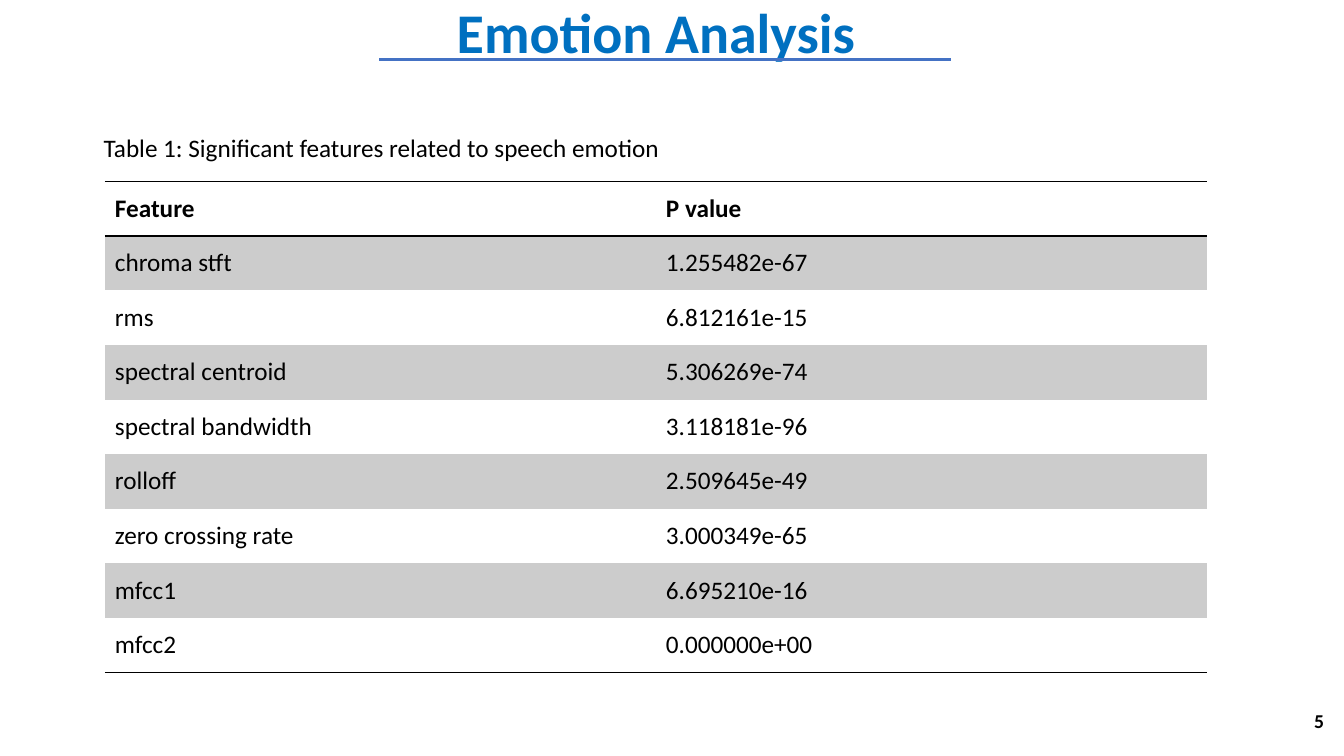
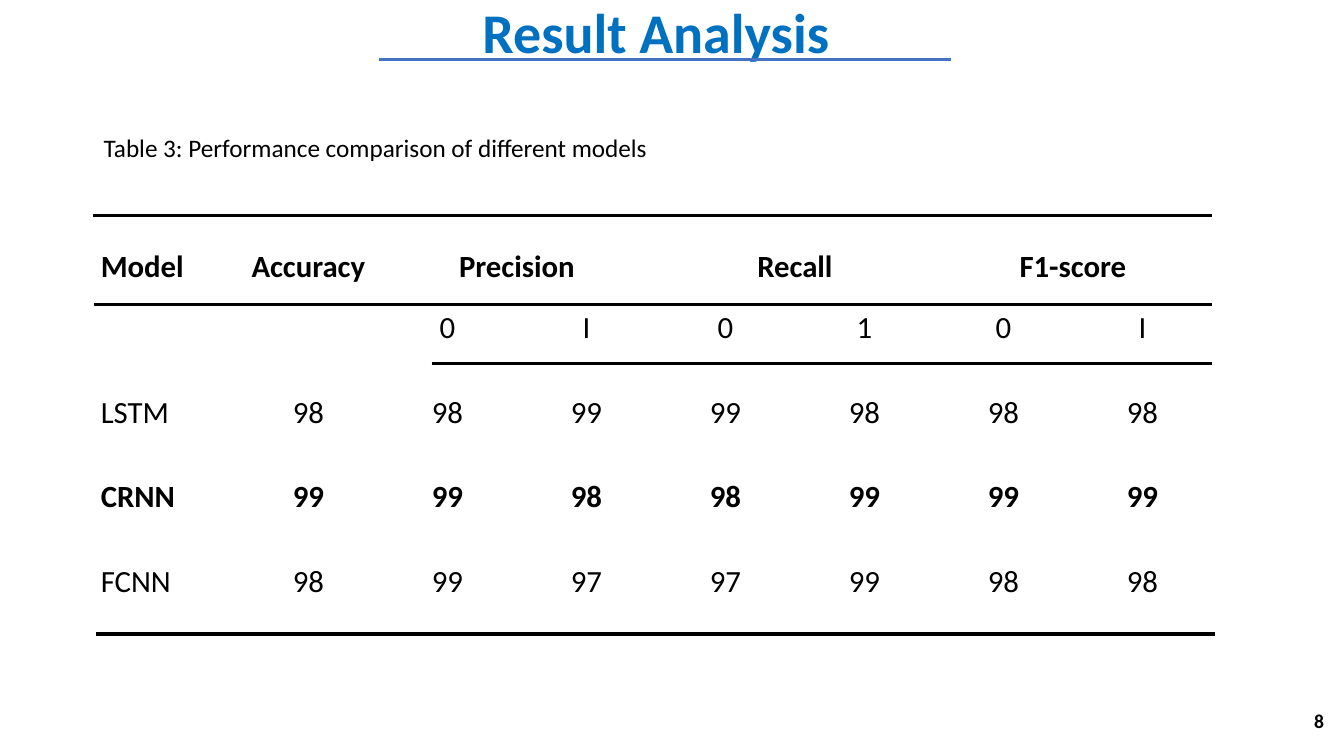
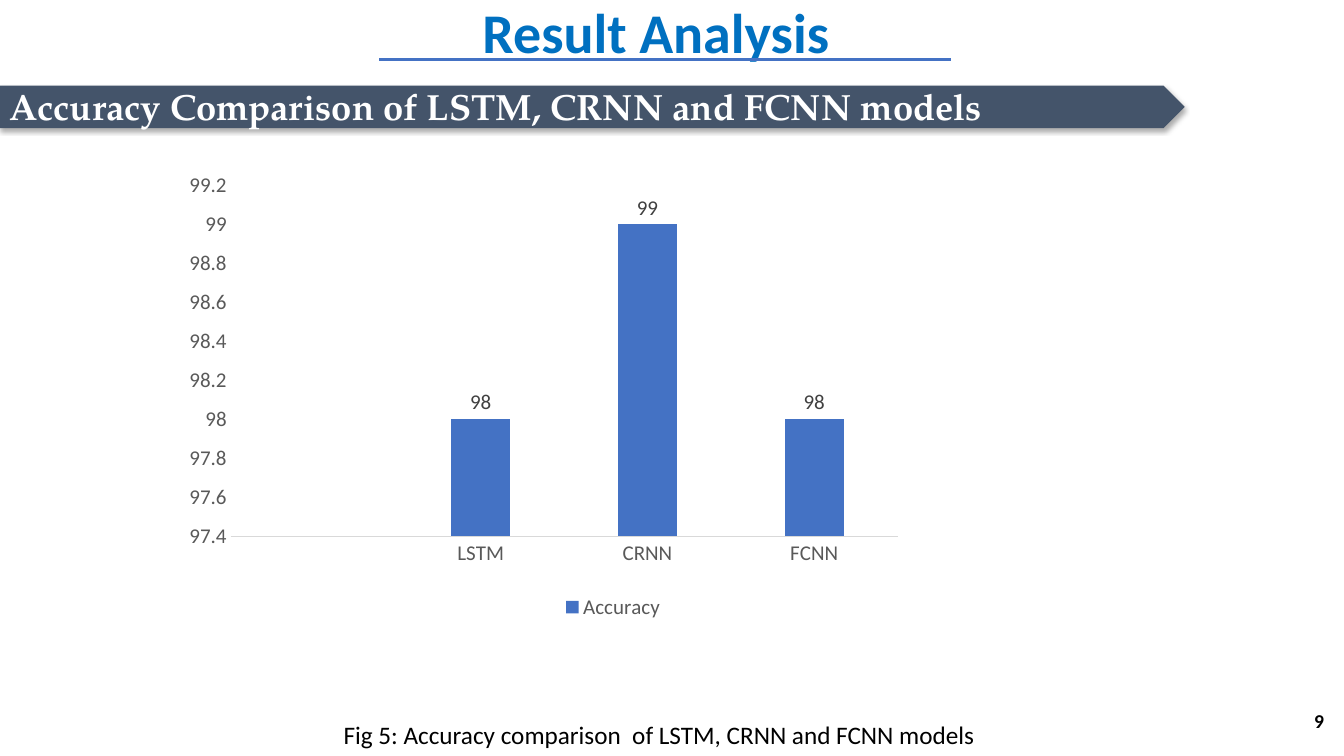
from dataclasses import dataclass

from lxml.etree import SubElement
from pptx import Presentation
from pptx.chart.data import CategoryChartData
from pptx.dml.color import RGBColor as RGB
from pptx.enum.chart import XL_CHART_TYPE as ChartType, XL_LABEL_POSITION as LabelPos
from pptx.enum.chart import XL_LEGEND_POSITION as LegendPos, XL_TICK_MARK as Tick
from pptx.enum.shapes import MSO_CONNECTOR as Connector, MSO_SHAPE as Shape
from pptx.enum.text import MSO_ANCHOR as Anchor, PP_ALIGN as Align
from pptx.oxml import parse_xml
from pptx.oxml.ns import nsdecls, qn
from pptx.util import Inches, Pt


@dataclass(frozen=True)
class Theme:
    font: str = "Calibri"
    banner_font: str = "TeX Gyre Pagella"
    black: RGB = RGB(0, 0, 0)
    white: RGB = RGB(255, 255, 255)
    title: RGB = RGB.from_string("0070C0")
    accent: RGB = RGB.from_string("4472C4")
    banner: RGB = RGB.from_string("44546A")
    stripe: RGB = RGB.from_string("CCCCCC")
    axis_line: RGB = RGB.from_string("D9D9D9")
    axis_text: RGB = RGB.from_string("595959")
    label_text: RGB = RGB.from_string("404040")
    title_size: int = 40
    banner_size: int = 26
    score_size: int = 22
    body_size: int = 18
    chart_size: int = 15
    page_size: int = 14


theme = Theme()


def write(frame, text, size=theme.body_size, color=theme.black, bold=False,
          align=Align.LEFT, font=theme.font):
    frame.word_wrap = True
    paragraph = frame.paragraphs[0]
    paragraph.text = text
    paragraph.alignment = align
    style = paragraph.runs[0].font
    style.name, style.size, style.bold = font, Pt(size), bold
    style.color.rgb = color


def add_rule(slide, left, right, y, color=theme.black):
    rule = slide.shapes.add_connector(
        Connector.STRAIGHT, Inches(left), Inches(y), Inches(right), Inches(y))
    rule.line.color.rgb = color
    rule.line.width = Pt(2.25)
    SubElement(rule._element.spPr, qn("a:effectLst"))


deck = Presentation()
deck.slide_width, deck.slide_height = Inches(13.33), Inches(7.5)

slides = []
for title, page, caption, caption_left, caption_top in (
    ("Emotion Analysis", "5",
     "Table 1: Significant features related to speech emotion", 0.93, 1.26),
    ("Result Analysis", "8",
     "Table 3: Performance comparison of different models", 0.93, 1.26),
    ("Result Analysis", "9",
     "Fig 5: Accuracy comparison  of LSTM, CRNN and FCNN models", 3.31, 7.09),
):
    slide = deck.slides.add_slide(deck.slide_layouts[6])
    heading = slide.shapes.add_textbox(
        Inches(1.83), Inches(-0.07), Inches(9.35), Inches(0.77))
    write(heading.text_frame, title, theme.title_size, theme.title, True, Align.CENTER)
    add_rule(slide, 3.76, 9.43, 0.59, theme.accent)
    caption_box = slide.shapes.add_textbox(
        Inches(caption_left), Inches(caption_top), Inches(7.5), Inches(0.4))
    write(caption_box.text_frame, caption)
    page_number = slide.shapes.add_textbox(
        Inches(12.64), Inches(6.95), Inches(0.59), Inches(0.4))
    page_number.text_frame.vertical_anchor = Anchor.MIDDLE
    write(page_number.text_frame, page, theme.page_size, bold=True, align=Align.RIGHT)
    slides.append(slide)

emotion, scores, accuracy = slides

features = (
    ("Feature", "P value"),
    ("chroma stft", "1.255482e-67"),
    ("rms", "6.812161e-15"),
    ("spectral centroid", "5.306269e-74"),
    ("spectral bandwidth", "3.118181e-96"),
    ("rolloff", "2.509645e-49"),
    ("zero crossing rate", "3.000349e-65"),
    ("mfcc1", "6.695210e-16"),
    ("mfcc2", "0.000000e+00"),
)
model_scores = (
    ("Model", "Accuracy", "Precision", "", "Recall", "", "F1-score", ""),
    ("", "", "0", "I", "0", "1", "0", "I"),
    ("LSTM", "98", "98", "99", "99", "98", "98", "98"),
    ("CRNN", "99", "99", "98", "98", "99", "99", "99"),
    ("FCNN", "98", "99", "97", "97", "99", "98", "98"),
)

feature_table = emotion.shapes.add_table(
    len(features), 2, Inches(1.04), Inches(1.8), Inches(10.93), Inches(4.87)).table
score_table = scores.shapes.add_table(
    len(model_scores), 8, Inches(0.99), Inches(1.99), Inches(11.03), Inches(4.2)).table
no_style = "{2D5ABB26-0587-4C30-8999-92F81FD0307C}"
for table in (feature_table, score_table):
    table.first_row = table.horz_banding = False
    table._tbl.tblPr.find(qn("a:tableStyleId")).text = no_style

ruled_edges = {0: ("lnT", "lnB"), len(features) - 1: ("lnB",)}
for row, entries in enumerate(features):
    for col, entry in enumerate(entries):
        cell = feature_table.cell(row, col)
        cell.vertical_anchor = Anchor.MIDDLE
        write(cell.text_frame, entry, bold=row == 0)
        cell.fill.solid()
        cell.fill.fore_color.rgb = theme.stripe if row % 2 else theme.white
        for position, edge in enumerate(ruled_edges.get(row, ())):
            cell._tc.get_or_add_tcPr().insert(position, parse_xml(
                f'<a:{edge} {nsdecls("a")} w="{Pt(1)}"><a:solidFill>'
                f'<a:srgbClr val="{theme.black}"/></a:solidFill></a:{edge}>'))

for col in (0, 1):
    score_table.cell(0, col).merge(score_table.cell(1, col))
for col in (2, 4, 6):
    score_table.cell(0, col).merge(score_table.cell(0, col + 1))
for row, entries in enumerate(model_scores):
    for col, entry in enumerate(entries):
        cell = score_table.cell(row, col)
        cell.fill.solid()
        cell.fill.fore_color.rgb = theme.white
        if not entry:
            continue
        cell.margin_left = cell.margin_right = cell.margin_top = Inches(0.01)
        cell.margin_bottom = Inches(0.37 if row == 0 and col < 2 else 0)
        cell.vertical_anchor = Anchor.BOTTOM if row == 0 and col > 1 else Anchor.MIDDLE
        write(cell.text_frame, entry, theme.score_size,
              bold=row == 0 or entries[0] == "CRNN",
              align=Align.CENTER if col else Align.LEFT)

for left, right, y in (
    (0.92, 12.02, 2.14), (0.93, 12.02, 3.02), (4.28, 12.02, 3.61), (0.95, 12.05, 6.29),
):
    add_rule(scores, left, right, y)

banner = accuracy.shapes.add_shape(
    Shape.PENTAGON, Inches(0), Inches(0.85), Inches(11.75), Inches(0.42))
banner.fill.solid()
banner.fill.fore_color.rgb = theme.banner
banner.line.fill.background()
banner.shadow.inherit = False
banner._element.spPr.find(qn("a:effectLst")).append(parse_xml(
    f'<a:outerShdw {nsdecls("a")} blurRad="{Pt(3.5)}" dist="{Pt(2.2)}" dir="5400000" '
    f'rotWithShape="0"><a:srgbClr val="{theme.black}"><a:alpha val="32000"/>'
    '</a:srgbClr></a:outerShdw>'))
banner_text = accuracy.shapes.add_textbox(
    Inches(0), Inches(0.79), Inches(10.94), Inches(0.54))
write(banner_text.text_frame, "Accuracy Comparison of LSTM, CRNN and FCNN models",
      theme.banner_size, theme.white, True, font=theme.banner_font)

accuracy_data = CategoryChartData()
accuracy_data.categories = ["", "LSTM", "CRNN", "FCNN"]
accuracy_data.add_series("Accuracy", (None, 98, 99, 98))
chart = accuracy.shapes.add_chart(
    ChartType.COLUMN_CLUSTERED, Inches(1.67), Inches(1.61), Inches(8.82), Inches(4.58),
    accuracy_data).chart
chart.has_title = False
chart.font.name, chart.font.size = theme.font, Pt(theme.chart_size)
chart.font.color.rgb = theme.axis_text
chart.has_legend = True
chart.legend.position = LegendPos.BOTTOM
chart.legend.include_in_layout = False

for axis in (chart.category_axis, chart.value_axis):
    axis.major_tick_mark = axis.minor_tick_mark = Tick.NONE
    axis.has_major_gridlines = False
chart.category_axis.format.line.color.rgb = theme.axis_line
chart.category_axis.format.line.width = Pt(0.75)
chart.value_axis.format.line.fill.background()
chart.value_axis.minimum_scale = 97.4
chart.value_axis.maximum_scale = 99.2
chart.value_axis.major_unit = 0.2

columns = chart.plots[0]
columns.gap_width = 182
columns.vary_by_categories = False
columns.series[0].format.fill.solid()
columns.series[0].format.fill.fore_color.rgb = theme.accent
columns.has_data_labels = True
labels = columns.data_labels
labels.show_value = True
labels.position = LabelPos.OUTSIDE_END
labels.font.name, labels.font.size = theme.font, Pt(theme.chart_size)
labels.font.color.rgb = theme.label_text

plot_area = chart._chartSpace.chart.plotArea
for old_layout in plot_area.findall(qn("c:layout")):
    plot_area.remove(old_layout)
plot_area.insert(0, parse_xml(
    f'<c:layout {nsdecls("c")}><c:manualLayout><c:layoutTarget val="inner"/>'
    '<c:xMode val="edge"/><c:yMode val="edge"/><c:x val="0.07"/><c:y val="0.05"/>'
    '<c:w val="0.75"/><c:h val="0.76"/></c:manualLayout></c:layout>'))

deck.save("out.pptx")
